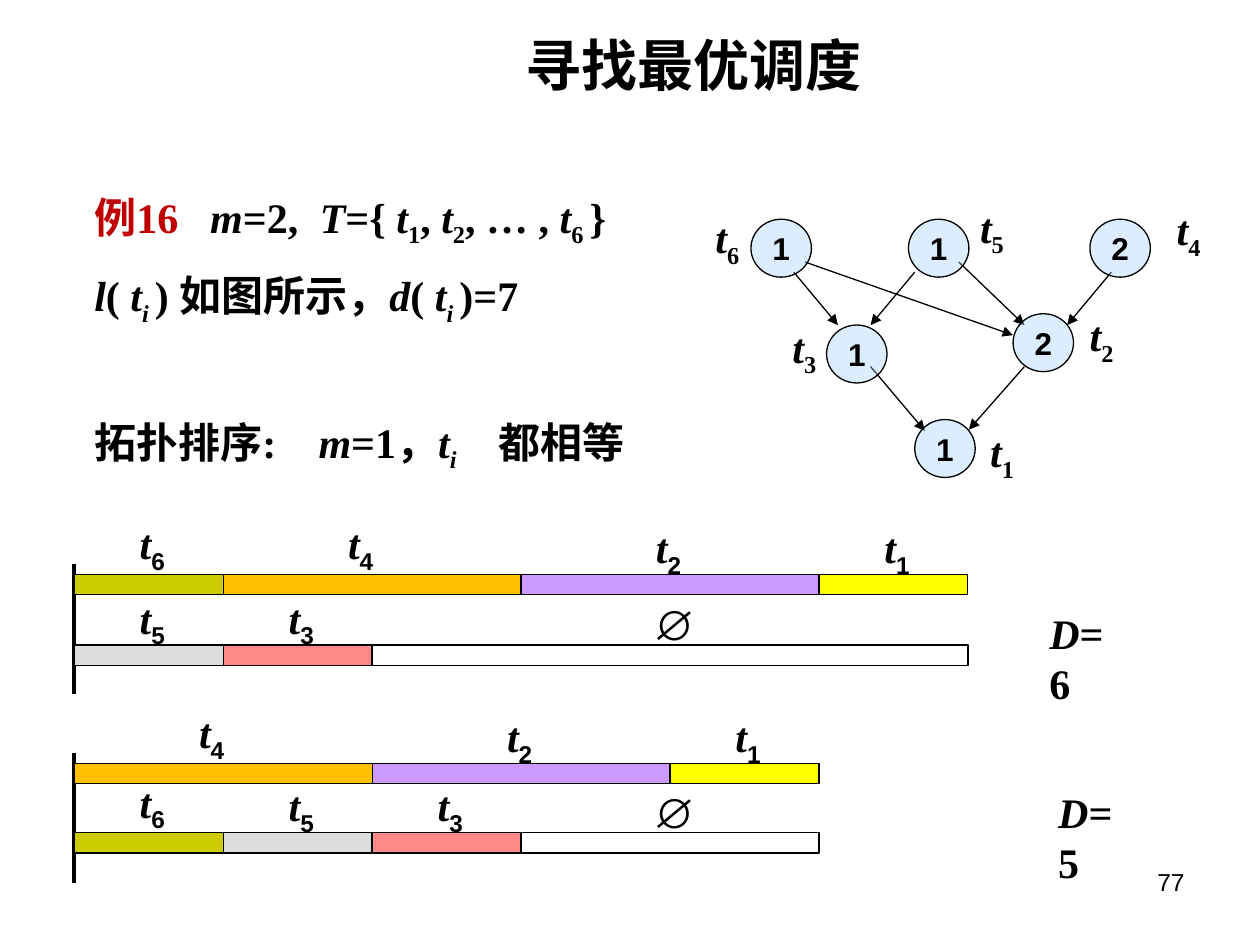
from dataclasses import dataclass
from typing import Any

from lxml.etree import SubElement
from pptx import Presentation
from pptx.dml.color import RGBColor
from pptx.enum.shapes import MSO_CONNECTOR as Connector, MSO_SHAPE as Shape
from pptx.enum.text import MSO_ANCHOR as Anchor, PP_ALIGN as Align
from pptx.oxml.ns import qn
from pptx.util import Inches, Pt

COLUMNS, ROWS = 100, 75
START, UNIT, BAR = 5.9, 11.82, 1.6
NODE_WIDTH, NODE_HEIGHT = 4.8, 4.6

NODES = [
    (72.6, 33.3, "1", "1", 77.6, 33.3),
    (65.6, 25.8, "1", "3", 61.9, 25.0),
    (80.4, 24.9, "2", "2", 85.5, 24.1),
    (59.6, 17.4, "1", "6", 55.8, 16.3),
    (72.1, 17.4, "1", "5", 76.8, 15.5),
    (86.5, 17.4, "2", "4", 92.4, 15.7),
]
EDGES = [
    (72.6, 21.6, 69.1, 25.8), (63.0, 21.6, 66.5, 25.8),
    (76.1, 20.8, 81.3, 25.8), (88.2, 21.6, 84.7, 25.8),
    (63.9, 20.8, 80.4, 26.6), (69.1, 29.1, 73.4, 34.2),
    (81.3, 29.1, 76.9, 34.1),
]
TASKS = {
    "1": ("FFFF00", 0.3, 4.7), "2": ("CC99FF", -0.1, 4.7),
    "3": ("FF8989", 0.3, 4.7), "4": ("FFC000", -0.9, 5.0),
    "5": ("DDDDDD", 0.3, 4.7), "6": ("CCCC00", 0.3, 5.0),
    "∅": ("FFFFFF", 0, 4.2),
}
SCHEDULES = [
    (44.8, "=6", 82.3, 47.7, [
        (45.6, [("6", 1), ("4", 2), ("2", 2), ("1", 1)]),
        (51.2, [("5", 1), ("3", 1), ("∅", 4)])]),
    (59.8, "=5", 83.0, 61.9, [
        (60.6, [("4", 2), ("2", 2), ("1", 1)]),
        (66.1, [("6", 1), ("5", 1), ("3", 1), ("∅", 2)])]),
]
T = ("t", "i")
STATEMENT = [
    (0, (9.2, 17.9), [
        ("例16", "r"), ("\t", ""), ("m", "i"), ("=2,\t", ""), ("T", "i"),
        ("={ ", ""), T, ("1", "s"), (", ", ""), T, ("2", "s"),
        (", … , ", ""), T, ("6 ", "s"), ("}", "")]),
    (12, (), [
        ("l", "i"), ("( ", ""), T, ("i ", "is"), (") 如图所示，", ""),
        ("d", "i"), ("( ", ""), T, ("i ", "is"), (")=7", "")]),
    (51, (17.8, 32.1), [
        ("拓扑排序:\t", ""), ("m", "i"), ("=1，", ""), T, ("i", "is"),
        ("\t都相等", "")]),
]


def color(value):
    """Turn a hex string into a colour."""
    return RGBColor.from_string(value)


@dataclass
class Board:
    """Hold the style and current page, and draw on a grid."""
    deck: Any
    page: Any
    serif: str = "Times New Roman"
    sans: str = "Arial"
    ink: str = "000000"
    accent: str = "C00000"
    node: str = "99CCFF"

    def across(self, columns):
        """Convert grid columns to a length."""
        return round(self.deck.slide_width * columns / COLUMNS)

    def down(self, rows):
        """Convert grid rows to a length."""
        return round(self.deck.slide_height * rows / ROWS)

    def area(self, left, top, width, height):
        """Convert a grid rectangle to lengths."""
        return (self.across(left), self.down(top),
                self.across(width), self.down(height))

    def font(self, para, name, size, bold=True):
        """Give a paragraph its font."""
        para.font.name, para.font.size, para.font.bold = name, Pt(size), bold
        para.font.color.rgb = color(self.ink)

    def spans(self, para, parts, sub_font=None):
        """Add runs with i for italic, s for subscript and r for accent."""
        for text, marks in parts:
            span = para.add_run()
            span.text = text
            if "i" in marks:
                span.font.italic = True
            if "s" in marks:
                span._r.get_or_add_rPr().set("baseline", "-25000")
                if sub_font:
                    span.font.name = sub_font
            if "r" in marks:
                span.font.color.rgb = color(self.accent)

    def text(self, area, parts, name=None, size=24, bold=True, align=Align.LEFT,
             anchor=Anchor.TOP, wrap=False, sub_font=None):
        """Add a one-paragraph text box."""
        box = self.page.shapes.add_textbox(*self.area(*area))
        frame = box.text_frame
        frame.word_wrap, frame.vertical_anchor = wrap, anchor
        para = frame.paragraphs[0]
        para.alignment = align
        self.font(para, name or self.serif, size, bold)
        self.spans(para, parts, sub_font)

    def statement(self, area, rows):
        """Add a text box of paragraphs with spacing and tab stops."""
        box = self.page.shapes.add_textbox(*self.area(*area))
        frame = box.text_frame
        frame.word_wrap = True
        for index, (space, stops, parts) in enumerate(rows):
            para = frame.add_paragraph() if index else frame.paragraphs[0]
            if space:
                para.space_before = Pt(space)
            if stops:
                tabs = SubElement(para._p.get_or_add_pPr(), qn("a:tabLst"))
                for stop in stops:
                    SubElement(tabs, qn("a:tab"), pos=str(self.across(stop)), algn="l")
            self.font(para, self.serif, 24)
            self.spans(para, parts)

    def line(self, start_x, start_y, end_x, end_y, width=0.75, arrow=False):
        """Add a line, with an arrowhead at its end if asked."""
        line = self.page.shapes.add_connector(
            Connector.STRAIGHT, self.across(start_x), self.down(start_y),
            self.across(end_x), self.down(end_y))
        line.line.color.rgb, line.line.width = color(self.ink), Pt(width)
        if arrow:
            SubElement(line.line._get_or_add_ln(), qn("a:tailEnd"), type="triangle")
        SubElement(line._element.spPr, qn("a:effectLst"))

    def shape(self, kind, area, fill, alpha=None, text=""):
        """Add an outlined shape with centred text."""
        shape = self.page.shapes.add_shape(kind, *self.area(*area))
        shape.shadow.inherit = False
        shape.fill.solid()
        shape.fill.fore_color.rgb = color(fill)
        shape.line.color.rgb, shape.line.width = color(self.ink), Pt(0.75)
        if alpha:
            tint = shape._element.spPr.find(qn("a:solidFill")).find(qn("a:srgbClr"))
            SubElement(tint, qn("a:alpha"), val=str(alpha * 1000))
        if text:
            shape.text_frame.word_wrap = False
            para = shape.text_frame.paragraphs[0]
            para.alignment = Align.CENTER
            self.font(para, self.sans, 18)
            self.spans(para, [(text, "")])

    def graph(self):
        """Draw the precedence graph."""
        for edge in EDGES:
            self.line(*edge, arrow=True)
        for left, top, length, task, label_left, label_top in NODES:
            self.shape(Shape.OVAL, (left, top, NODE_WIDTH, NODE_HEIGHT),
                       self.node, 35, length)
            self.text((label_left, label_top, 3.9, 5.6), [T, (task, "s")])

    def lane(self, top, jobs):
        """Draw one machine's jobs end to end with their labels."""
        left = START
        for task, length in jobs:
            fill, shift, rise = TASKS[task]
            width = length * UNIT
            self.shape(Shape.RECTANGLE, (left, top, width, BAR), fill)
            middle = left + width / 2 + shift
            if task == "∅":
                self.text((middle - 2.3, top - rise, 4.6, 5), [(task, "")], self.sans)
            else:
                self.text((middle - 2, top - rise, 4, 5.6), [T, (task, "s")],
                          sub_font=self.sans)
            left += width

    def schedule(self, top, delay, delay_left, delay_top, lanes):
        """Draw a two-machine schedule with its axis and finish time."""
        self.line(START, top, START, top + 10.3, 2.25)
        for lane in lanes:
            self.lane(*lane)
        self.text((delay_left, delay_top, 7.9, 5), [("D", "i"), (delay, "")])


def main():
    """Build and save the deck."""
    deck = Presentation()
    deck.slide_width, deck.slide_height = Inches(10), Inches(7.5)
    board = Board(deck, deck.slides.add_slide(deck.slide_layouts[6]))
    board.text((21.6, 2.8, 66.9, 4.6), [("寻找最优调度", "")], size=32,
               align=Align.CENTER, anchor=Anchor.MIDDLE, wrap=True)
    board.text((71.7, 68.3, 23.3, 5.2), [("77", "")], board.sans, 14, False,
               Align.RIGHT, wrap=True)
    board.graph()
    for schedule in SCHEDULES:
        board.schedule(*schedule)
    board.statement((6.5, 14.7, 46, 25), STATEMENT)
    deck.save("out.pptx")


if __name__ == "__main__":
    main()
